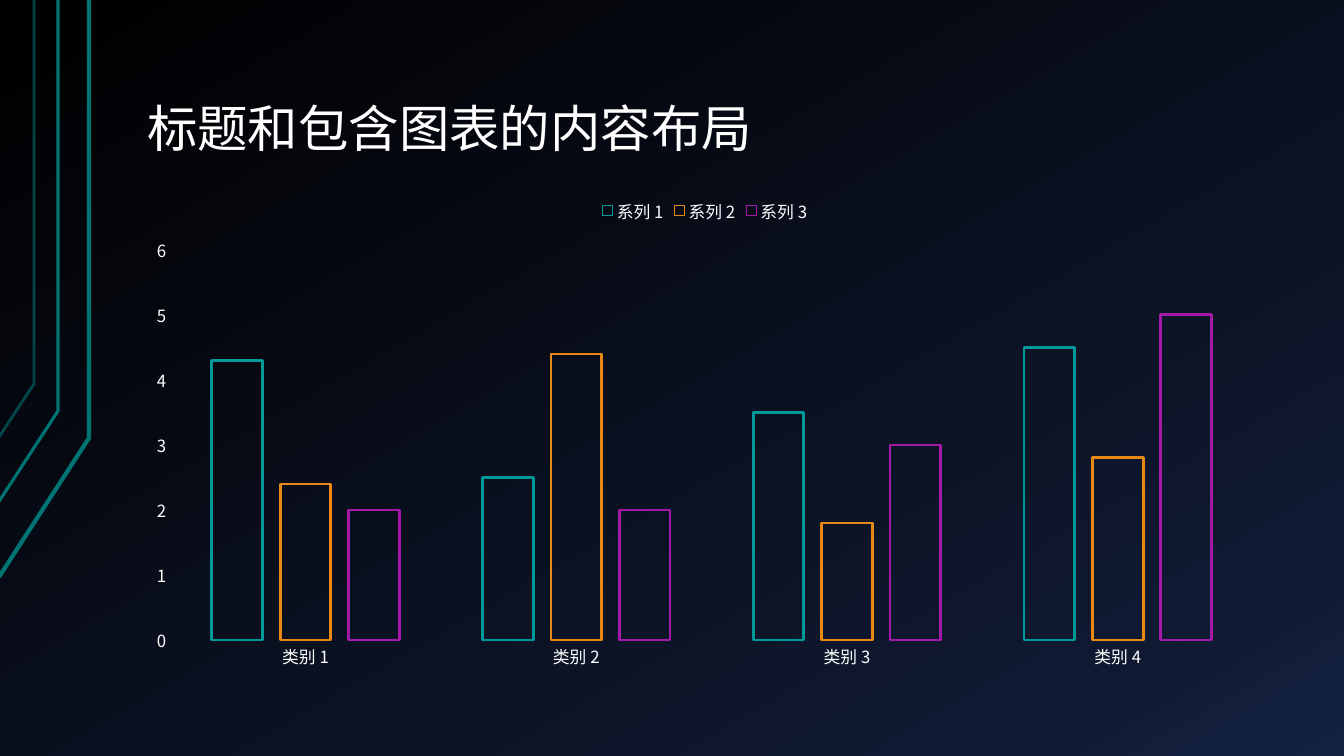
"""Build a dark slide with a title, a column chart and teal edge lines."""
from copy import deepcopy
from lxml import etree
from pptx import Presentation, util as u
from pptx.chart.data import CategoryChartData
from pptx.dml.color import RGBColor
from pptx.enum import chart as ch, text as tx
from pptx.oxml.ns import qn

TITLE = "标题和包含图表的内容布局"
CATS = [f"类别 {n}" for n in range(1, 5)]
SERIES = [
    ("系列 1", (4.3, 2.5, 3.5, 4.5), "009999"),
    ("系列 2", (2.4, 4.4, 1.8, 2.8), "E98915"),
    ("系列 3", (2, 2, 3, 5), "A419A7"),
]
EDGES = [
    ([(-1, 577), (89, 438), (89, 0)], 3, 100),
    ([(-2, 503), (58, 411), (58, 0)], 2.25, 100),
    ([(-1, 437), (34, 384), (34, 0)], 2, 60),
]
THEME = {
    "back": [(0, "000000"), (0.85, "0F1931"), (1, "142242")],
    "edge": "007373", "text": "FFFFFF",
    "head": ("Lato", 36), "base": ("Calibri", 10),
    "label": ("Noto Sans CJK SC", 12), "bar": 2,
}
SCALE = 914400 / 100.8
SIZE = (1344, 756)
HEAD = (134, 30, 1142, 135)
PLOT = (134, 187, 1142, 492)


def px(*nums):
    return [round(n * SCALE) for n in nums]


def rgb(code):
    return RGBColor.from_string(code)


def style(font, kind):
    font.name, size = THEME[kind]
    font.size = u.Pt(size)
    font.color.rgb = rgb(THEME["text"])


def outline(line, color, width):
    line.color.rgb = rgb(color)
    line.width = u.Pt(width)


def paint(slide):
    fill = slide.background.fill
    fill.gradient()
    fill.gradient_angle = 300
    stops = slide.background._cSld.find(".//" + qn("a:gsLst"))
    stops.append(deepcopy(stops[-1]))
    for stop, (pos, color) in zip(fill.gradient_stops, THEME["back"]):
        stop.position = pos
        stop.color.rgb = rgb(color)


def edge(slide, points, width, alpha):
    pen = slide.shapes.build_freeform(*points[0], scale=SCALE)
    pen.add_line_segments(points[1:], close=False)
    shape = pen.convert_to_shape()
    shape.shadow.inherit = False
    shape.fill.background()
    outline(shape.line, THEME["edge"], width)
    if alpha < 100:
        tint = shape.line._ln.find(".//" + qn("a:srgbClr"))
        etree.SubElement(tint, qn("a:alpha"), val=str(alpha * 1000))


def title(slide):
    frame = slide.shapes.add_textbox(*px(*HEAD)).text_frame
    frame.word_wrap = True
    frame.vertical_anchor = tx.MSO_ANCHOR.BOTTOM
    frame.margin_left, frame.margin_right = px(13, 13)
    frame.margin_top, frame.margin_bottom = px(7, 7)
    para = frame.paragraphs[0]
    para.text = TITLE
    para.line_spacing = 0.9
    style(para.font, "head")


def columns(slide):
    data = CategoryChartData()
    data.categories = CATS
    for name, vals, _ in SERIES:
        data.add_series(name, vals)
    kind = ch.XL_CHART_TYPE.COLUMN_CLUSTERED
    chart = slide.shapes.add_chart(kind, *px(*PLOT), data).chart
    style(chart.font, "base")
    chart.has_title = False
    chart.has_legend = True
    chart.legend.position = ch.XL_LEGEND_POSITION.TOP
    chart.legend.include_in_layout = False
    style(chart.legend.font, "label")
    for axis in (chart.category_axis, chart.value_axis):
        axis.has_major_gridlines = False
        axis.major_tick_mark = axis.minor_tick_mark = ch.XL_TICK_MARK.NONE
        axis.format.line.fill.background()
        style(axis.tick_labels.font, "label")
    axis = chart.value_axis
    axis.minimum_scale, axis.maximum_scale, axis.major_unit = 0, 6, 1
    plot = chart.plots[0]
    plot.vary_by_categories = False
    plot.gap_width, plot.overlap = 164, -35
    for bars, (_, _, color) in zip(plot.series, SERIES):
        bars.format.fill.background()
        outline(bars.format.line, color, THEME["bar"])


deck = Presentation()
deck.slide_width, deck.slide_height = px(*SIZE)
page = deck.slides.add_slide(deck.slide_layouts[6])
paint(page)
for item in EDGES:
    edge(page, *item)
title(page)
columns(page)
deck.save("out.pptx")
